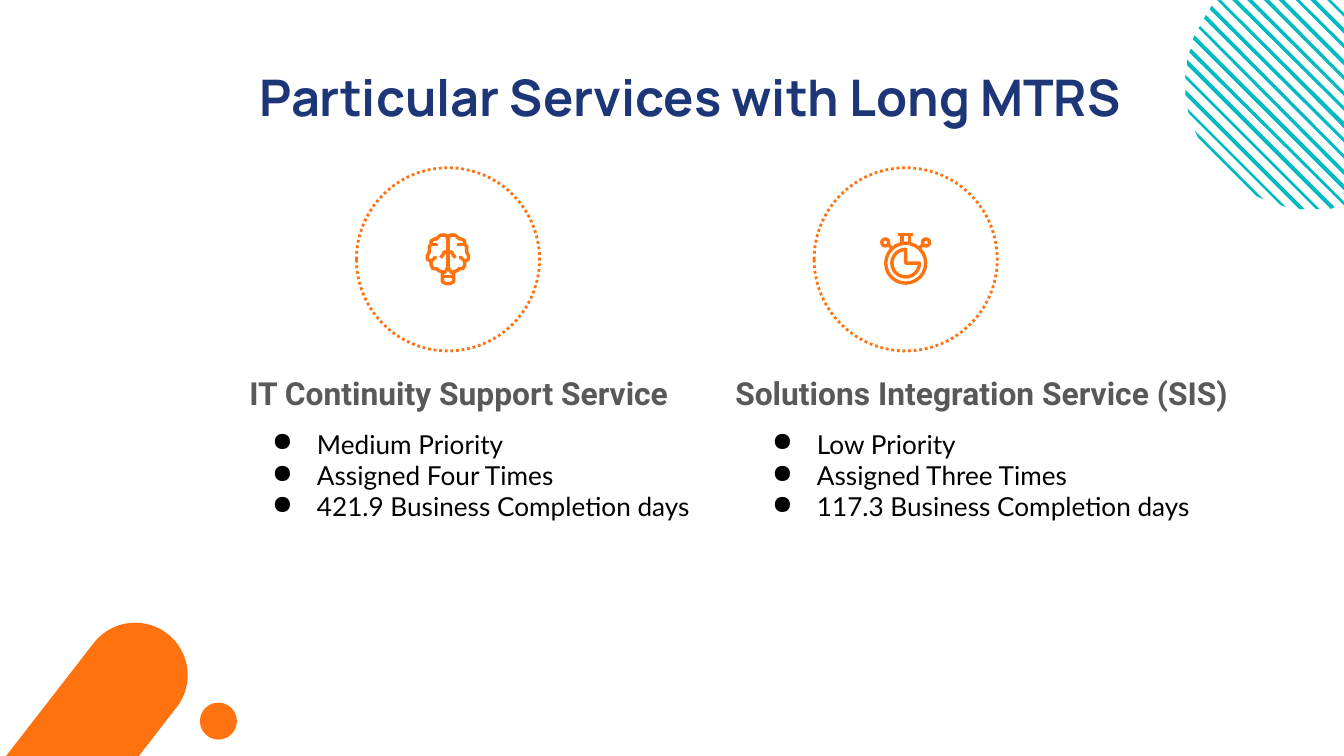
"""Build the slide on the two services with a long MTRS."""
import math

from lxml import etree
from pptx import Presentation
from pptx.dml.color import RGBColor
from pptx.enum import dml, shapes, text
from pptx.oxml.ns import qn
from pptx.util import Pt

COLORS = {"navy": "1C3678", "orange": "FF7210", "teal": "00BBC1", "gray": "595959", "black": "000000"}
TITLE = "Particular Services with Long MTRS"
SERVICES = [
    {"name": "IT Continuity Support Service", "head": (115.2, 193, 261.4, 28.8),
     "list": (126.7, 219.6, 255.6, 81.4), "center": 240,
     "facts": ["Medium Priority", "Assigned Four Times", "421.9 Business Completion days"]},
    {"name": "Solutions Integration Service (SIS)", "head": (377.3, 193, 297.4, 28.8),
     "list": (394.6, 219.6, 261.4, 81.4), "center": 485.2,
     "facts": ["Low Priority", "Assigned Three Times", "117.3 Business Completion days"]},
]
RING = {"top": 89.9, "size": 98.1}
ICON_TOP, STROKE = 124.6, 1.8
BRAIN_HALF = [
    [(0, 3.2), (1, 1.7), (2.5, 0.9), (4.2, 1.4), (5.5, 2.9), (7.3, 2.9), (8.6, 4.1), (8.8, 6),
     (10.2, 7.3), (10.5, 9), (9.8, 10.6), (10.8, 12.2), (10.7, 14), (9.4, 15.4), (9.2, 17.5),
     (8, 19), (6, 19.4), (4.6, 20.5), (2.5, 21), (0.9, 20.2), (0, 18.5)],
    [(0, 10), (2, 10.8), (3.2, 12.2), (3.6, 13.8)],
    [(8.8, 6), (7.4, 6), (6.3, 6.6), (5.6, 7.8)],
    [(9.4, 15.4), (8.4, 14), (7, 13.4), (5.5, 13.7)],
    [(3.3, 20.8), (3.3, 24), (2.6, 26), (1.3, 27), (0, 27.2)],
]
BRAIN_LINES = [((0, 3.2), (0, 18.5)), ((-3.3, 23.6), (3.3, 23.6))]
WATCH_LINES = [((-4, 1.1), (4, 1.1)), ((-2, 1.1), (-2, 5.6)), ((2, 1.1), (2, 5.6)),
               ((-9, 6.7), (-7.2, 8.5)), ((9, 6.7), (7.2, 8.5))]
WATCH_DISCS = [("OVAL", 0, 16.4, 10.7), ("PIE", 0, 16.4, 7.4), ("OVAL", -10.9, 5.3, 1.9), ("OVAL", 10.9, 5.3, 1.9)]
HATCH = {"cx": 702.7, "cy": 44.6, "r": 67.7, "middle": 653, "step": 8.42, "width": 2.5}


def rgb(name):
    return RGBColor.from_string(COLORS[name])


def paint(sp, fill=None, line=None, width=STROKE, dash=None):
    sp.shadow.inherit = False
    for part, color in ((sp.fill, fill), (sp.line.fill, line)):
        if color:
            part.solid()
            part.fore_color.rgb = rgb(color)
        else:
            part.background()
    if line:
        sp.line.width = Pt(width)
    if dash:
        sp.line.dash_style = dash


def add_disc(slide, cx, cy, r, kind="OVAL", **style):
    sp = slide.shapes.add_shape(shapes.MSO_SHAPE[kind], Pt(cx - r), Pt(cy - r), Pt(2 * r), Pt(2 * r))
    paint(sp, **style)


def add_outline(slide, points, close=False, **style):
    fb = slide.shapes.build_freeform(*points[0], scale=Pt(1))
    fb.add_line_segments(points[1:], close=close)
    paint(fb.convert_to_shape(), **style)


def add_lines(slide, cx, lines):
    for (x1, y1), (x2, y2) in lines:
        cn = slide.shapes.add_connector(shapes.MSO_CONNECTOR.STRAIGHT, Pt(cx + x1), Pt(ICON_TOP + y1),
                                        Pt(cx + x2), Pt(ICON_TOP + y2))
        cn.line.color.rgb = rgb("orange")
        cn.line.width = Pt(STROKE)
        etree.SubElement(cn._element.spPr, qn("a:effectLst"))


def write(sp, lines, box, font, size, color, bold=False, align="LEFT", bullet=None):
    sp.left, sp.top, sp.width, sp.height = (Pt(v) for v in box)
    tf = sp.text_frame
    tf.word_wrap = True
    tf.auto_size = text.MSO_AUTO_SIZE.NONE
    tf.vertical_anchor = text.MSO_ANCHOR.TOP
    tf.margin_left = tf.margin_right = tf.margin_top = tf.margin_bottom = Pt(7.2)
    for i, line in enumerate(lines):
        p = tf.add_paragraph() if i else tf.paragraphs[0]
        p.alignment = text.PP_ALIGN[align]
        p.line_spacing = 1.15 if bullet and not i else 1.0
        r = p.add_run()
        r.text = line
        r.font.name, r.font.size, r.font.bold = font, Pt(size), bold
        r.font.color.rgb = rgb(color)
        if bullet:
            pPr = p._p.get_or_add_pPr()
            pPr.set("marL", str(Pt(36)))
            pPr.set("indent", str(Pt(-24)))
            etree.SubElement(pPr, qn("a:buChar"), char=bullet)


def add_hatch(slide, cx, cy, r, middle, step, width):
    def chord(offset):
        p = (offset - cx + cy) / 2
        h = math.sqrt(r * r / 2 - p * p)
        return [(cx + p - h, cy - p - h), (cx + p + h, cy - p + h)]

    for i in range(-10, 8):
        d = middle + i * step
        points = chord(d - width / 2) + chord(d + width / 2)[::-1]
        add_outline(slide, points, close=True, fill="teal")


def add_brain(slide, cx):
    for side in (-1, 1):
        for curve in BRAIN_HALF:
            add_outline(slide, [(cx + side * x, ICON_TOP + y) for x, y in curve], line="orange")
    add_lines(slide, cx, BRAIN_LINES)


def add_stopwatch(slide, cx):
    for kind, x, y, r in WATCH_DISCS:
        add_disc(slide, cx + x, ICON_TOP + y, r, kind, line="orange")
    add_lines(slide, cx, WATCH_LINES)


def main():
    prs = Presentation()
    prs.slide_width, prs.slide_height = Pt(720), Pt(405)
    slide = prs.slides.add_slide(prs.slide_layouts[5])
    add_hatch(slide, **HATCH)

    capsule = slide.shapes.add_shape(shapes.MSO_SHAPE.ROUNDED_RECTANGLE, Pt(-253.5), Pt(479.5), Pt(425.5), Pt(56.2))
    capsule.adjustments[0] = 0.5
    capsule.rotation = 307.8
    paint(capsule, fill="orange")
    add_disc(slide, 117, 386.3, 9.9, fill="orange")

    write(slide.shapes.title, [TITLE], (131.8, 28.1, 491, 54.7), "Manrope", 27, "navy", bold=True)
    for service, add_icon in zip(SERVICES, (add_brain, add_stopwatch)):
        cx, r = service["center"], RING["size"] / 2
        add_disc(slide, cx, RING["top"] + r, r, line="orange", width=1.5, dash=dml.MSO_LINE.ROUND_DOT)
        add_icon(slide, cx)
        write(slide.shapes.add_textbox(0, 0, 0, 0), [service["name"]], service["head"],
              "Roboto", 17, "gray", bold=True, align="CENTER")
        write(slide.shapes.add_textbox(0, 0, 0, 0), service["facts"], service["list"],
              "Lato", 14, "black", bullet="●")
    prs.save("out.pptx")


if __name__ == "__main__":
    main()
